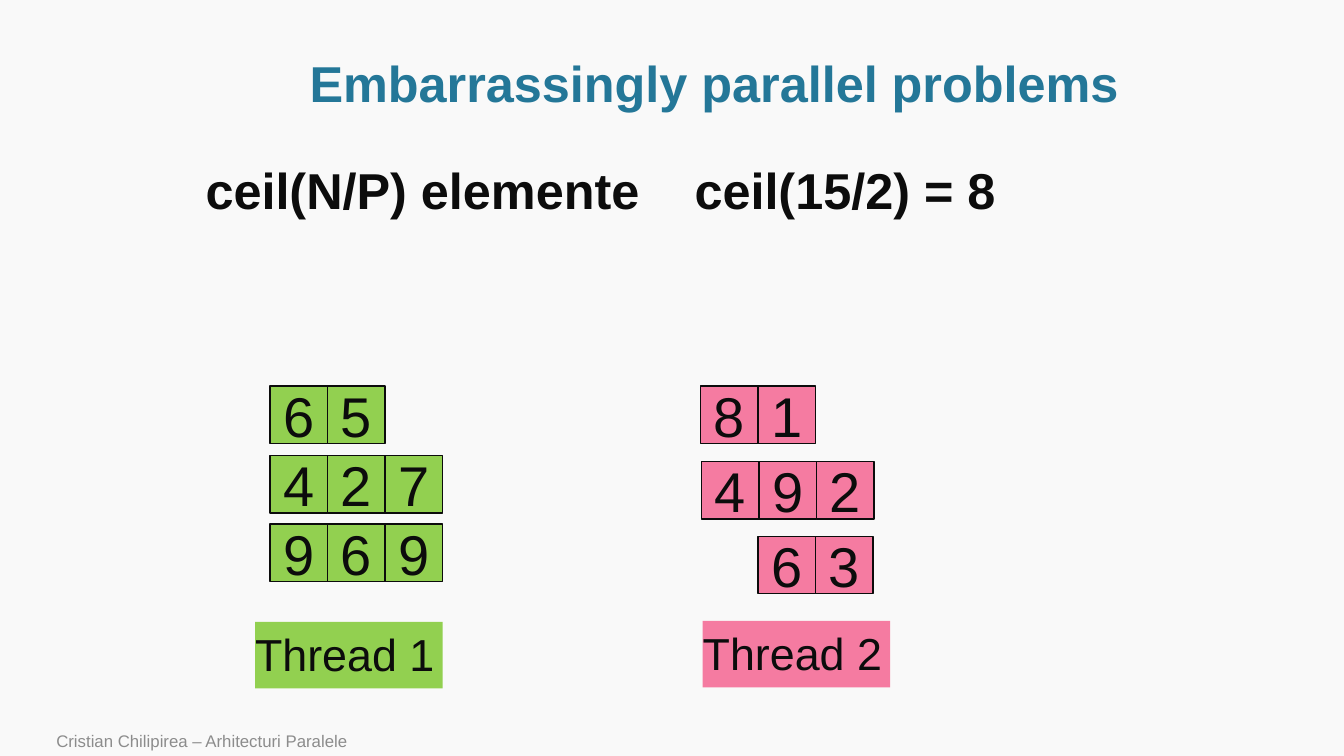
"""Build a slide that splits fifteen numbers between two threads."""
from lxml import etree
from pptx import Presentation
from pptx.dml.color import RGBColor
from pptx.enum import shapes, text
from pptx.oxml import ns
from pptx.util import Inches, Pt

INK, GREEN, PINK = "0C0C0C", "92D050", "F57BA1"
CELL = 0.57


def color(value):
    return RGBColor.from_string(value)


def write(box, words, size, ink=INK, bold=False, align=text.PP_ALIGN.LEFT,
          anchor=text.MSO_ANCHOR.TOP):
    frame = box.text_frame
    frame.word_wrap = True
    frame.vertical_anchor = anchor
    para = frame.paragraphs[0]
    para.alignment = align
    span = para.add_run()
    span.text = words
    for name, value in {"name": "Arial", "size": Pt(size), "bold": bold}.items():
        setattr(span.font, name, value)
    span.font.color.rgb = color(ink)
    return para


deck = Presentation()
deck.slide_width, deck.slide_height = Inches(13.33), Inches(7.5)
page = deck.slides.add_slide(deck.slide_layouts[5])
page.background.fill.solid()
page.background.fill.fore_color.rgb = color("F9F9F9")

title = page.shapes.title
place = {"left": 1.14, "top": 0.51, "width": 11.89, "height": 0.69}
for name, value in place.items():
    setattr(title, name, Inches(value))
heading = write(title, "Embarrassingly parallel problems", 36, "247798", True,
                text.PP_ALIGN.CENTER, text.MSO_ANCHOR.MIDDLE)
heading.line_spacing = 0.9

formula = page.shapes.add_textbox(Inches(1.94), Inches(1.53), Inches(9.43), Inches(0.71))
formula_para = write(formula, "ceil(N/P) elemente\tceil(15/2) = 8", 36, bold=True)
properties = formula_para._p.get_or_add_pPr()
tabs = etree.SubElement(properties, ns.qn("a:tabLst"))
etree.SubElement(tabs, ns.qn("a:tab"), pos=str(Inches(4.85)), algn="l")

rows = [
    (2.68, 3.83, "65", GREEN),
    (2.68, 4.52, "427", GREEN),
    (2.68, 5.2, "969", GREEN),
    (6.95, 3.83, "81", PINK),
    (6.96, 4.58, "492", PINK),
    (7.52, 5.32, "63", PINK),
]
for left, top, digits, fill in rows:
    for column, digit in enumerate(digits):
        cell = page.shapes.add_shape(
            shapes.MSO_SHAPE.RECTANGLE, Inches(left + column * CELL), Inches(top),
            Inches(CELL), Inches(CELL))
        cell.shadow.inherit = False
        cell.fill.solid()
        cell.fill.fore_color.rgb = color(fill)
        cell.line.color.rgb = color(INK)
        cell.line.width = Pt(1)
        write(cell, digit, 40, align=text.PP_ALIGN.CENTER, anchor=text.MSO_ANCHOR.MIDDLE)

threads = [(2.53, 6.17, "Thread 1", GREEN), (6.97, 6.16, "Thread 2", PINK)]
for left, top, label, fill in threads:
    thread = page.shapes.add_shape(
        shapes.MSO_SHAPE.RECTANGLE, Inches(left), Inches(top), Inches(1.86), Inches(0.66))
    thread.shadow.inherit = False
    thread.fill.solid()
    thread.fill.fore_color.rgb = color(fill)
    thread.line.fill.background()
    thread.text_frame.margin_left = thread.text_frame.margin_right = 0
    write(thread, label, 32)

footer = page.shapes.add_textbox(Inches(0.46), Inches(7.22), Inches(9.82), Inches(0.28))
write(footer, "Cristian Chilipirea – Arhitecturi Paralele", 12, "8C8C8C",
      anchor=text.MSO_ANCHOR.BOTTOM)

deck.save("out.pptx")
